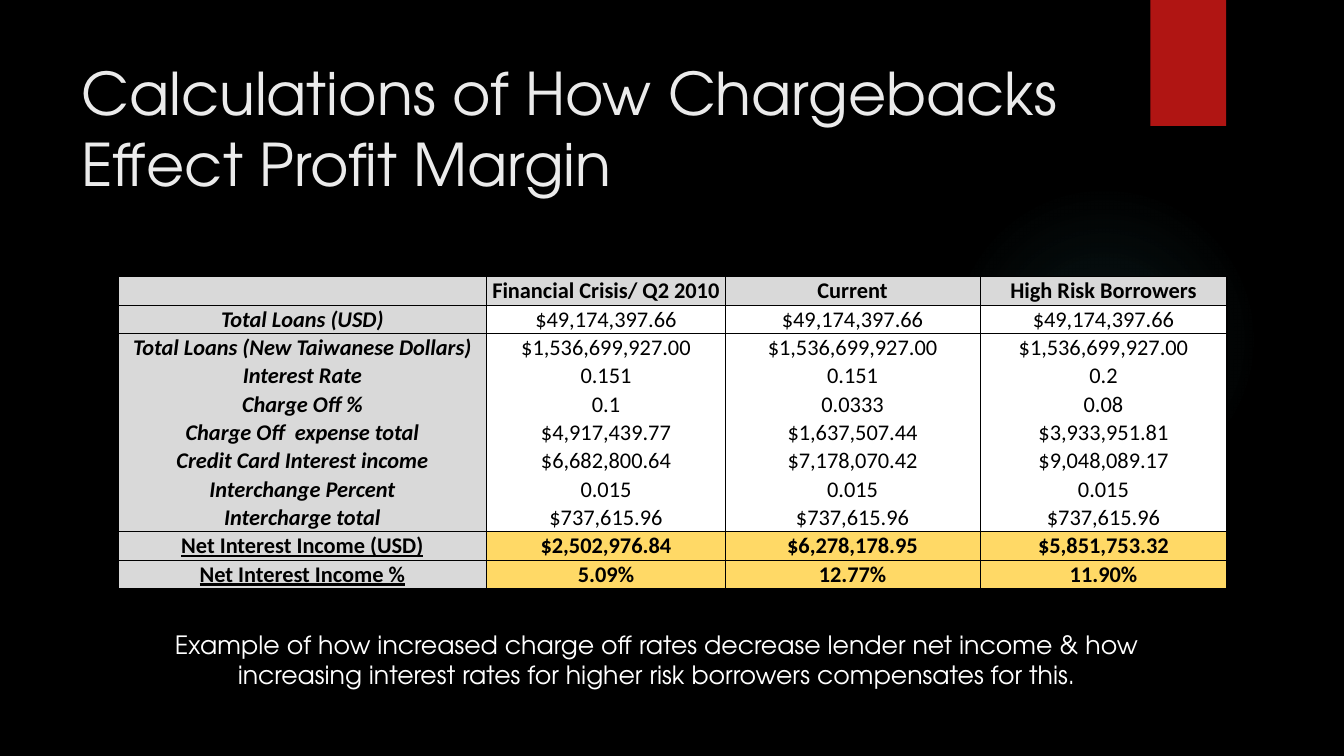
from lxml.etree import SubElement
from pptx import Presentation
from pptx.dml.color import RGBColor
from pptx.enum.shapes import MSO_SHAPE as Shape
from pptx.enum.text import MSO_ANCHOR as Anchor, PP_ALIGN as Align
from pptx.oxml import parse_xml
from pptx.oxml.ns import nsdecls, qn
from pptx.util import Pt


def paint(part, color):
    part.solid()
    part.fore_color.rgb = RGBColor.from_string(color)


def style(para, font, size, color, align):
    para.alignment = align
    for run in para.runs:
        run.font.name = font
        run.font.size = Pt(size)
        paint(run.font.fill, color)


deck = Presentation()
deck.slide_width, deck.slide_height = Pt(960), Pt(540)
slide = deck.slides.add_slide(deck.slide_layouts[5])
paint(slide.background.fill, "000000")

glow = slide.shapes.add_shape(Shape.OVAL, Pt(677.5), Pt(131.75), Pt(221.75), Pt(221.75))
glow.shadow.inherit = False
glow.line.fill.background()
stops = "".join(
    f'<a:gs pos="{spot * 1000}"><a:srgbClr val="50B9C1"><a:alpha val="{alpha * 1000}"/></a:srgbClr></a:gs>'
    for spot, alpha in [(0, 7), (36, 6), (69, 0)]
)
glow.element.spPr.find(qn("a:prstGeom")).addnext(parse_xml(
    f'<a:gradFill {nsdecls("a")}><a:gsLst>{stops}</a:gsLst><a:path path="circle">'
    '<a:fillToRect l="50000" t="50000" r="50000" b="50000"/></a:path></a:gradFill>'
))

flag = slide.shapes.add_shape(Shape.RECTANGLE, Pt(821.75), 0, Pt(54), Pt(90))
flag.shadow.inherit = False
flag.line.fill.background()
paint(flag.fill, "B01513")

title = slide.shapes.title
title.left, title.top, title.width, title.height = Pt(51), Pt(36), Pt(741), Pt(110)
title.text_frame.text = "Calculations of How Chargebacks Effect Profit Margin"
title.text_frame.vertical_anchor = Anchor.MIDDLE
style(title.text_frame.paragraphs[0], "TeX Gyre Adventor", 42, "EBEBEB", Align.LEFT)

loans = ["$49,174,397.66"] * 3
local = ["$1,536,699,927.00"] * 3
rows = [
    ["", "Financial Crisis/ Q2 2010", "Current", "High Risk Borrowers"],
    ["Total Loans (USD)", *loans],
    ["Total Loans (New Taiwanese Dollars)", *local],
    ["Interest Rate", "0.151", "0.151", "0.2"],
    ["Charge Off %", "0.1", "0.0333", "0.08"],
    ["Charge Off  expense total", "$4,917,439.77", "$1,637,507.44", "$3,933,951.81"],
    ["Credit Card Interest income", "$6,682,800.64", "$7,178,070.42", "$9,048,089.17"],
    ["Interchange Percent"] + ["0.015"] * 3,
    ["Intercharge total"] + ["$737,615.96"] * 3,
    ["Net Interest Income (USD)", "$2,502,976.84", "$6,278,178.95", "$5,851,753.32"],
    ["Net Interest Income %", "5.09%", "12.77%", "11.90%"],
]
widths = [263.5, 170.25, 182, 176.5]
high = 20.25
last = len(rows) - 1
net = last - 1
frame = slide.shapes.add_table(
    len(rows), len(widths), Pt(84.25), Pt(197.5), Pt(sum(widths)), Pt(high * len(rows))
)
table = frame.table
table.first_row = table.horz_banding = False
table._tbl.tblPr.find(qn("a:tableStyleId")).text = "{2D5ABB26-0587-4C30-8999-92F81FD0307C}"
for col, width in zip(table.columns, widths):
    col.width = Pt(width)

for r, row in enumerate(rows):
    table.rows[r].height = Pt(high)
    for c, text in enumerate(row):
        cell = table.cell(r, c)
        cell.margin_left = cell.margin_right = cell.margin_top = Pt(0.6)
        cell.margin_bottom = 0
        cell.vertical_anchor = Anchor.MIDDLE if c and r in (1, 2) else Anchor.BOTTOM
        cell.text_frame.text = text
        para = cell.text_frame.paragraphs[0]
        style(para, "Calibri", 16, "000000", Align.CENTER)
        for run in para.runs:
            run.font.bold = c == 0 or r == 0 or r >= net
            run.font.italic = c == 0 and r < net
            run.font.underline = c == 0 and r >= net
        if not text:
            SubElement(para._p, qn("a:endParaRPr"), sz="1600")
        paint(cell.fill, "D9D9D9" if r == 0 or c == 0 else "FFD966" if r >= net else "FFFFFF")
        edges = {"L": 0.5 if c else 1, "R": 1 if c == len(widths) - 1 else 0.5}
        if r in (0, 1, net):
            edges["T"] = 0.5 if r else 1
        if r in (0, net - 1, last):
            edges["B"] = 1 if r == last else 0.5
        for n, (side, wide) in enumerate(edges.items()):
            cell._tc.tcPr.insert(n, parse_xml(
                f'<a:ln{side} {nsdecls("a")} w="{Pt(wide)}"><a:solidFill>'
                f'<a:srgbClr val="000000"/></a:solidFill></a:ln{side}>'
            ))

note = slide.shapes.add_textbox(Pt(100.75), Pt(445.75), Pt(736.5), Pt(51))
note.text_frame.word_wrap = True
note.text_frame.text = (
    "Example of how increased charge off rates decrease lender net income & how "
    "increasing interest rates for higher risk borrowers compensates for this."
)
style(note.text_frame.paragraphs[0], "TeX Gyre Adventor", 18, "FFFFFF", Align.CENTER)

deck.save("out.pptx")
